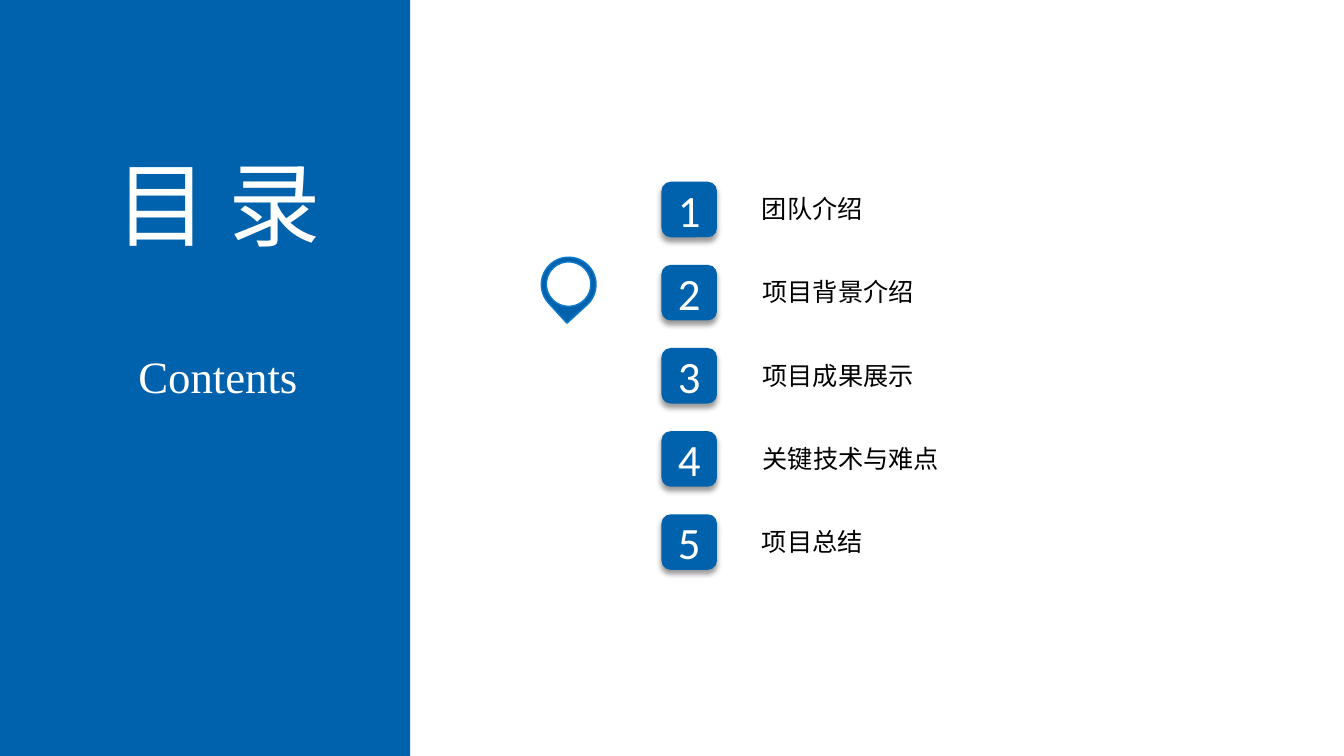
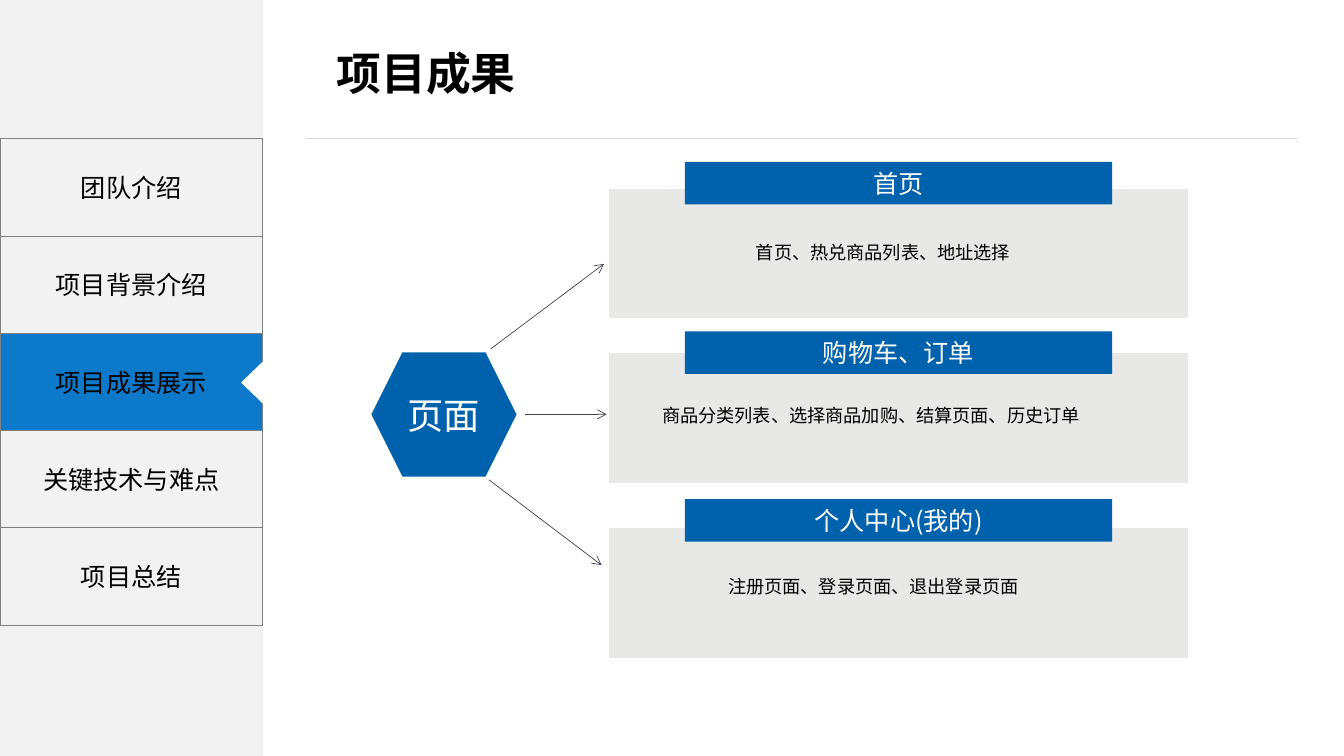
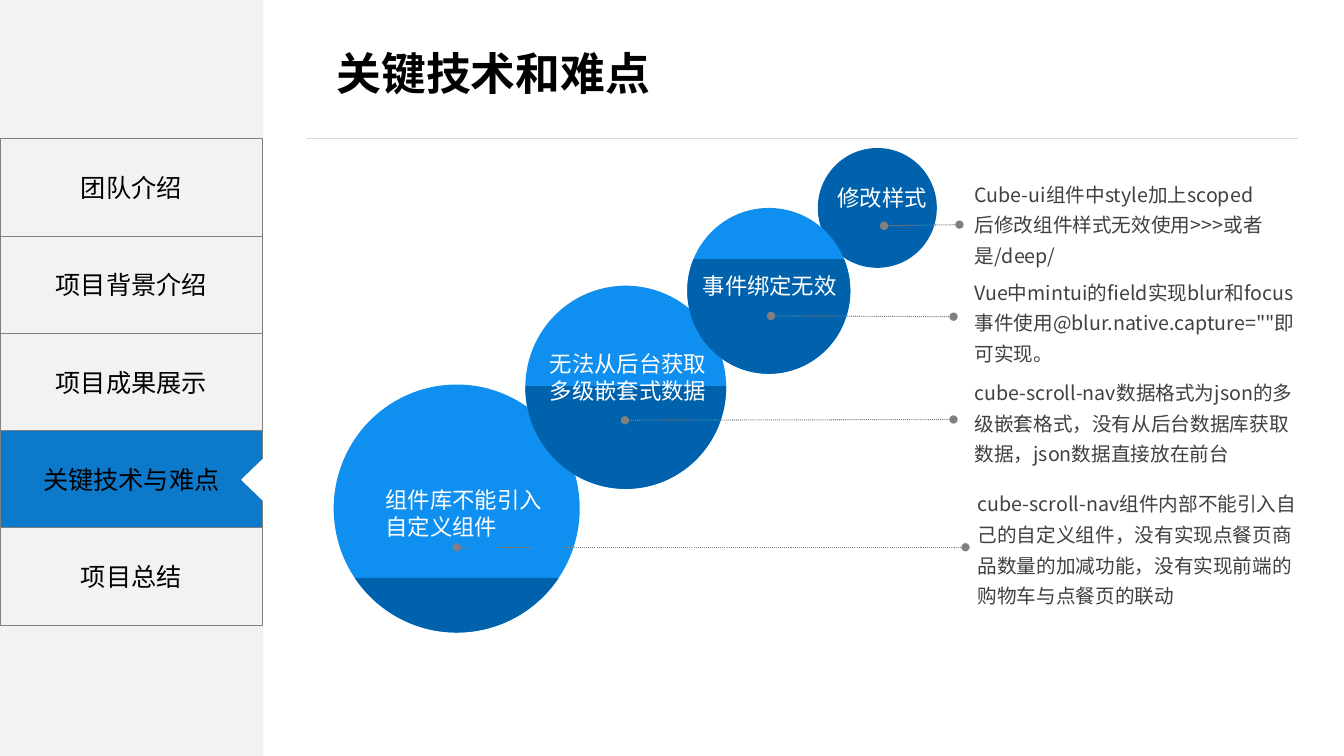
from dataclasses import dataclass
from math import asin, cos, pi, sin, tan

from lxml.etree import SubElement
from pptx import Presentation
from pptx.dml.color import RGBColor
from pptx.enum.dml import MSO_LINE
from pptx.enum.shapes import MSO_CONNECTOR, MSO_SHAPE
from pptx.enum.text import MSO_ANCHOR, MSO_AUTO_SIZE, PP_ALIGN
from pptx.oxml.ns import qn
from pptx.util import Cm, Pt

BLUE = "0062AC"
ACTIVE_BLUE = "0D79CA"
BRIGHT_BLUE = "0F8FEF"
WHITE = "FFFFFF"
BLACK = "000000"
PALE = "F2F2F2"
CARD = "E8E8E6"
GRAY = "808080"
RULE = "D9D9D9"
ARROW = "414455"
NOTE = "404040"

CHINESE = "Noto Sans CJK SC"
LATIN = "Arial"
WIDTH, HEIGHT = 33.87, 19.05
SECTIONS = ["团队介绍", "项目背景介绍", "项目成果展示", "关键技术与难点", "项目总结"]
TAB_TOP, TAB_STEP, TAB_HEIGHT, TAB_WIDTH = 3.5, 2.45, 2.46, 6.6


@dataclass
class Bubble:
    left: float
    top: float
    width: float
    height: float
    chord: float
    label: str
    label_place: tuple
    label_wraps: bool
    leader: tuple
    note: str
    note_place: tuple


BUBBLES = [
    Bubble(8.41, 9.69, 6.2, 6.25, 14.56, "组件库不能引入自定义组件",
           (9.49, 12.13, 4.52, 1.6), True, (11.51, 13.79, 24.33, 13.79),
           "cube-scroll-nav组件内部不能引入自己的自定义组件，没有实现点餐页商品数量的加减功能，"
           "没有实现前端的购物车与点餐页的联动", (24.41, 12.13, 8.79, 3.33)),
    Bubble(13.24, 7.2, 5.06, 5.12, 9.73, "无法从后台获取多级嵌套式数据",
           (13.63, 8.71, 4.7, 1.6), True, (15.75, 10.59, 24.03, 10.57),
           "cube-scroll-nav数据格式为json的多级嵌套格式，没有从后台数据库获取数据，"
           "json数据直接放在前台", (24.33, 9.33, 8.53, 2.57)),
    Bubble(17.32, 5.24, 4.11, 4.18, 6.53, "事件绑定无效",
           (17.48, 6.73, 3.89, 0.91), False, (19.43, 7.96, 24.03, 7.98),
           "Vue中mintui的field实现blur和focus事件使用@blur.native.capture=\"\"即可实现。",
           (24.33, 6.8, 8.79, 2.57)),
    Bubble(20.61, 3.73, 3.0, 3.02, 3.73, "修改样式",
           (20.88, 4.52, 2.74, 0.91), False, (22.28, 5.69, 24.18, 5.66),
           "Cube-ui组件中style加上scoped后修改组件样式无效使用>>>或者是/deep/",
           (24.33, 4.33, 7.82, 2.57)),
]


def color(value):
    return RGBColor.from_string(value)


def paint(shape, fill, line=None, weight=1):
    shape.shadow.inherit = False
    shape.fill.solid()
    shape.fill.fore_color.rgb = color(fill)
    if line:
        shape.line.color.rgb = color(line)
        shape.line.width = Pt(weight)
    else:
        shape.line.fill.background()
    return shape


def write(shape, text, size, ink=BLACK, font=CHINESE, bold=False, align=PP_ALIGN.CENTER,
          anchor=MSO_ANCHOR.MIDDLE, spacing=None, inset=(0.23, 0.1), wrap=True):
    frame = shape.text_frame
    frame.word_wrap = wrap
    frame.vertical_anchor = anchor
    frame.margin_left = frame.margin_right = Cm(inset[0])
    frame.margin_top = frame.margin_bottom = Cm(inset[1])
    para = frame.paragraphs[0]
    para.alignment = align
    if spacing:
        para.line_spacing = spacing
    span = para.add_run()
    span.text = text
    span.font.size = Pt(size)
    span.font.name = font
    span.font.bold = bold
    span.font.color.rgb = color(ink)
    SubElement(span.font._element, qn("a:ea"), typeface=CHINESE)


def add_block(page, kind, left, top, width, height, fill, line=None, weight=1):
    shape = page.shapes.add_shape(kind, Cm(left), Cm(top), Cm(width), Cm(height))
    return paint(shape, fill, line, weight)


def add_text(page, place, text, size, **style):
    box = page.shapes.add_textbox(*(Cm(value) for value in place))
    write(box, text, size, **style)
    box.text_frame.auto_size = MSO_AUTO_SIZE.SHAPE_TO_FIT_TEXT


def add_line(page, points, ink, weight, head=None, tail=None, dash=None):
    line = page.shapes.add_connector(MSO_CONNECTOR.STRAIGHT, *(Cm(value) for value in points))
    line.line.color.rgb = color(ink)
    line.line.width = Pt(weight)
    if dash:
        line.line.dash_style = dash
    properties = line._element.spPr
    outline = properties.find(qn("a:ln"))
    for name, end in (("a:headEnd", head), ("a:tailEnd", tail)):
        if end:
            SubElement(outline, qn(name), type=end)
    SubElement(properties, qn("a:effectLst"))


def add_drop_shadow(shape):
    effects = shape._element.spPr.find(qn("a:effectLst"))
    shadow = SubElement(effects, qn("a:outerShdw"), blurRad=str(Pt(4)), dist=str(Pt(3)),
                        dir="5400000", algn="t", rotWithShape="0")
    tint = SubElement(shadow, qn("a:srgbClr"), val=BLACK)
    SubElement(tint, qn("a:alpha"), val="40000")


def curve_outline(shape):
    segments = list(shape._element.iter(qn("a:lnTo")))
    for first, second, third in zip(segments[::3], segments[1::3], segments[2::3]):
        first.tag_curve = None
    return segments


def round_outline(shape):
    lines = list(shape._element.iter(qn("a:lnTo")))
    outline = lines[0].getparent()
    for start in range(0, len(lines), 3):
        curve = SubElement(outline, qn("a:cubicBezTo"))
        for line in lines[start:start + 3]:
            curve.append(line[0])
            outline.remove(line)
    outline.append(outline.find(qn("a:close")))


def add_segment(page, bubble):
    radius_x, radius_y = bubble.width / 2, bubble.height / 2
    center_x, center_y = bubble.left + radius_x, bubble.top + radius_y
    start = asin((bubble.chord - center_y) / radius_y)
    inner = [0, pi / 2, pi] if start < 0 else [pi / 2]
    stops = [start, *inner, pi - start]

    def place(angle, reach=0):
        return (Cm(center_x + radius_x * (cos(angle) - reach * sin(angle))),
                Cm(center_y + radius_y * (sin(angle) + reach * cos(angle))))

    points = []
    for begin, end in zip(stops, stops[1:]):
        reach = 4 / 3 * tan((end - begin) / 4)
        points += [place(begin, reach), place(end, -reach), place(end)]
    builder = page.shapes.build_freeform(*place(start))
    builder.add_line_segments(points, close=True)
    segment = paint(builder.convert_to_shape(), BLUE)
    round_outline(segment)


def add_page(deck):
    return deck.slides.add_slide(deck.slide_layouts[6])


def add_section_page(deck, title, title_width, active):
    page = add_page(deck)
    add_block(page, MSO_SHAPE.RECTANGLE, 0, 0, 6.63, HEIGHT, PALE)
    for index, section in enumerate(SECTIONS):
        fill = ACTIVE_BLUE if index == active else PALE
        tab = add_block(page, MSO_SHAPE.RECTANGLE, 0.01, TAB_TOP + index * TAB_STEP,
                        TAB_WIDTH, TAB_HEIGHT, fill, GRAY, 0.75)
        write(tab, section, 18, font=LATIN, inset=(0.25, 0.79))
    add_block(page, MSO_SHAPE.DIAMOND, 6.1, TAB_TOP + active * TAB_STEP + 0.59,
              1.35, 1.3, WHITE, WHITE)
    add_line(page, (7.72, TAB_TOP, 32.72, TAB_TOP), RULE, 0.75)
    add_text(page, (8.23, 1.02, title_width, 1.63), title, 32, font=LATIN, bold=True,
             align=PP_ALIGN.LEFT, anchor=MSO_ANCHOR.TOP, inset=(0.25, 0.13))
    return page


def build_contents(deck):
    page = add_page(deck)
    for index, section in enumerate(SECTIONS):
        top = 4.58 + index * 2.095
        badge = add_block(page, MSO_SHAPE.ROUNDED_RECTANGLE, 16.67, top, 1.4, 1.4, BLUE)
        add_drop_shadow(badge)
        write(badge, str(index + 1), 32, ink=WHITE, font="Calibri")
        add_text(page, (18.93, top + 0.17, 0.65 * len(section) + 0.48, 1.02), section, 18,
                 anchor=MSO_ANCHOR.TOP, inset=(0.25, 0.13))
    add_block(page, MSO_SHAPE.RECTANGLE, 0, 0, 10.34, HEIGHT, BLUE)
    add_text(page, (2.29, 3.58, 6.4, 3.07), "目 录", 66, ink=WHITE, wrap=False)
    add_text(page, (3.21, 8.66, 4.57, 1.63), "Contents", 32, ink=WHITE,
             font="Times New Roman", wrap=False)
    pin = add_block(page, MSO_SHAPE.TEAR, 13.64, 6.48, 1.38, 1.38, BLUE, ACTIVE_BLUE)
    pin.rotation = 137.5
    add_block(page, MSO_SHAPE.OVAL, 13.77, 6.6, 1.12, 1.12, WHITE, ACTIVE_BLUE)


def build_results(deck):
    page = add_section_page(deck, "项目成果", 9.91, 2)
    hexagon = add_block(page, MSO_SHAPE.HEXAGON, 9.36, 8.88, 3.66, 3.13, BLUE)
    write(hexagon, "页面", 26, ink=WHITE)
    cards = [
        ("首页", "首页、热兑商品列表、地址选择", 4.74, 4.08, (18.85, 5.82, 8.33, 0.94),
         (12.37, 8.79, 15.22, 6.65)),
        ("购物车、订单", "商品分类列表、选择商品加购、结算页面、历史订单", 8.88, 8.35,
         (16.49, 9.93, 13.06, 0.94), (13.22, 10.44, 15.29, 10.44)),
        ("个人中心(我的)", "注册页面、登录页面、退出登录页面", 13.29, 12.58,
         (18.15, 14.24, 8.92, 0.94), (12.32, 12.09, 15.16, 14.24)),
    ]
    for heading, detail, top, bar_top, place, arrow in cards:
        add_line(page, arrow, ARROW, 0.5, tail="arrow")
        add_block(page, MSO_SHAPE.RECTANGLE, 15.34, top, 14.61, 3.3, CARD, WHITE)
        bar = add_block(page, MSO_SHAPE.RECTANGLE, 17.26, bar_top, 10.77, 1.07, BLUE)
        write(bar, heading, 18, ink=WHITE)
        add_text(page, place, detail, 13, align=PP_ALIGN.LEFT,
                 anchor=MSO_ANCHOR.TOP, spacing=1.3, inset=(0.2, 0.1))


def build_difficulties(deck):
    page = add_section_page(deck, "关键技术和难点", 8.69, 3)
    for bubble in reversed(BUBBLES):
        fill = BRIGHT_BLUE if bubble.chord > bubble.top else BLUE
        add_block(page, MSO_SHAPE.OVAL, bubble.left, bubble.top,
                  bubble.width, bubble.height, fill)
    for bubble in BUBBLES:
        if bubble.chord > bubble.top:
            add_segment(page, bubble)
        add_text(page, bubble.label_place, bubble.label, 16, ink=WHITE,
                 align=PP_ALIGN.LEFT, wrap=bubble.label_wraps)
        add_line(page, bubble.leader, GRAY, 0.75, head="oval", tail="oval",
                 dash=MSO_LINE.ROUND_DOT)
        add_text(page, bubble.note_place, bubble.note, 14, ink=NOTE, align=PP_ALIGN.LEFT,
                 anchor=MSO_ANCHOR.TOP, spacing=1.3)


def main():
    deck = Presentation()
    deck.slide_width, deck.slide_height = Cm(WIDTH), Cm(HEIGHT)
    build_contents(deck)
    build_results(deck)
    build_difficulties(deck)
    deck.save("out.pptx")


if __name__ == "__main__":
    main()
